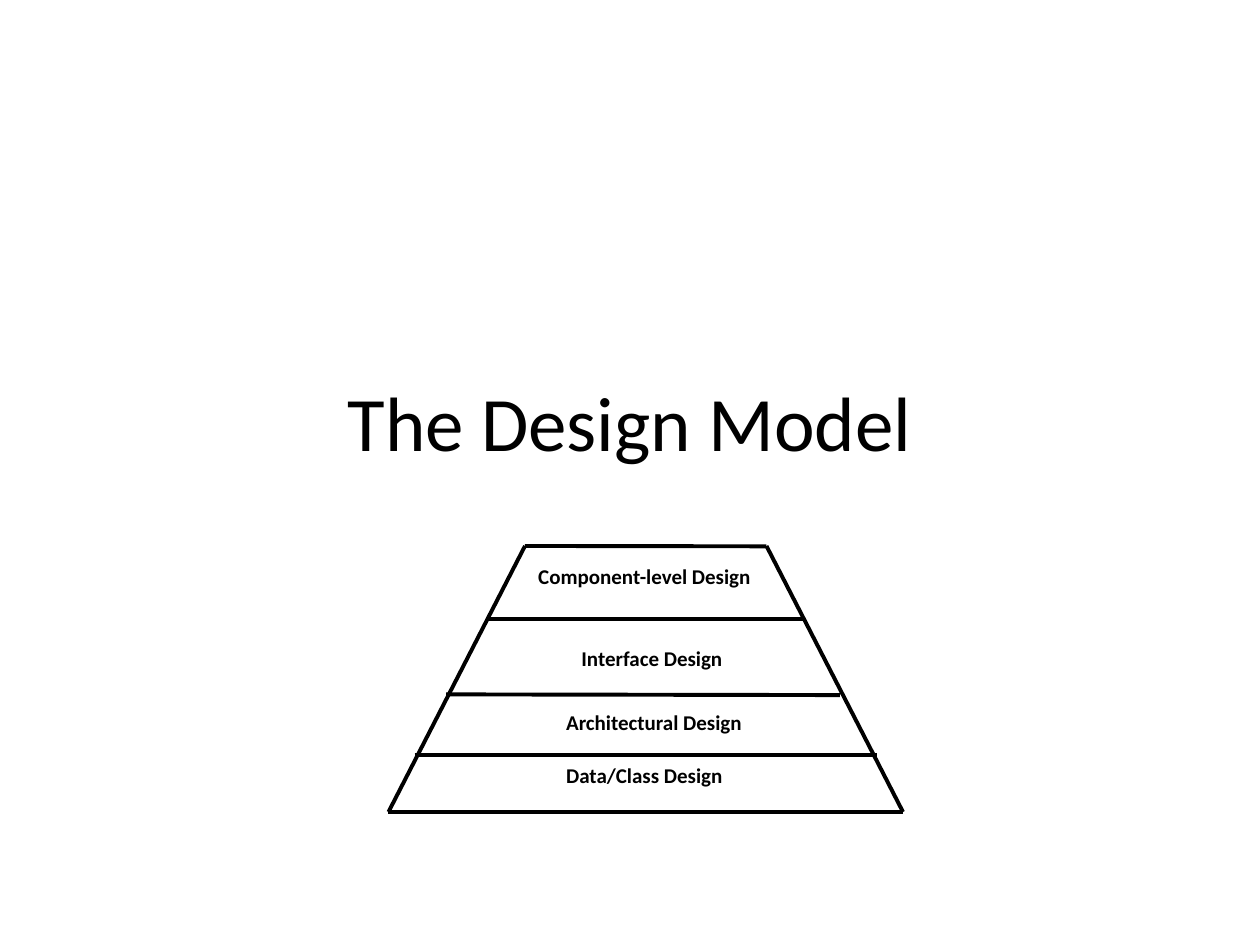
"""Build a title slide with a four-layer design pyramid."""
import dataclasses
import pptx
import pptx.dml.color
import pptx.enum.shapes
import pptx.enum.text
import pptx.util
import lxml.etree

Pt = pptx.util.Pt


@dataclasses.dataclass(frozen=True)
class Theme:
    font: str = "Calibri"
    ink: pptx.dml.color.RGBColor = pptx.dml.color.RGBColor(0, 0, 0)
    title: int = 44
    label: int = 12
    line: float = 2.25


THEME = Theme()

LABELS = [
    ("Data/Class Design", 314.6, 433.4, 107.3),
    ("Architectural Design", 313.2, 403.2, 121),
    ("Interface Design", 323.3, 366.5, 98.6),
    ("Component-level Design", 298.8, 319.7, 139),
]

EDGES = [
    (300, 312, 222, 464),
    (438, 312, 516, 464),
    (222, 464, 516, 464),
    (300, 312, 438, 312.2),
    (237, 431.5, 501, 431.5),
    (255, 396.8, 480, 397.2),
    (279.4, 353.5, 458.6, 353.5),
]


def style(frame, text, size, bold):
    frame.text = text
    para = frame.paragraphs[0]
    para.alignment = pptx.enum.text.PP_ALIGN.CENTER
    para.line_spacing = 0.95
    font = para.font
    font.name, font.size, font.bold = THEME.font, Pt(size), bold
    font.color.rgb = THEME.ink


def add_title(slide, text):
    title = slide.shapes.title
    title.left, title.top = Pt(54), Pt(198)
    title.width, title.height = Pt(612), Pt(90)
    style(title.text_frame, text, THEME.title, False)
    title.text_frame.vertical_anchor = pptx.enum.text.MSO_ANCHOR.MIDDLE


def add_label(group, text, left, top, width):
    kind = pptx.enum.shapes.MSO_SHAPE.ROUNDED_RECTANGLE
    box = group.shapes.add_shape(kind, Pt(left), Pt(top), Pt(width), Pt(35.3))
    box.adjustments[0] = 0
    box.shadow.inherit = False
    box.fill.background()
    box.line.fill.background()
    frame = box.text_frame
    style(frame, text, THEME.label, True)
    frame.word_wrap = False
    frame.auto_size = pptx.enum.text.MSO_AUTO_SIZE.SHAPE_TO_FIT_TEXT
    frame.vertical_anchor = pptx.enum.text.MSO_ANCHOR.TOP


def add_edge(group, *ends):
    kind = pptx.enum.shapes.MSO_CONNECTOR.STRAIGHT
    edge = group.shapes.add_connector(kind, *map(Pt, ends))
    edge.line.color.rgb = THEME.ink
    edge.line.width = Pt(THEME.line)
    props = edge.line._get_or_add_ln().getparent()
    lxml.etree.SubElement(props, pptx.oxml.ns.qn("a:effectLst"))


def main():
    deck = pptx.Presentation()
    deck.slide_width, deck.slide_height = Pt(720), Pt(540)
    slide = deck.slides.add_slide(deck.slide_layouts[5])
    add_title(slide, "The Design Model")
    group = slide.shapes.add_group_shape()
    for label in LABELS:
        add_label(group, *label)
    for edge in EDGES:
        add_edge(group, *edge)
    deck.save("out.pptx")


if __name__ == "__main__":
    main()
